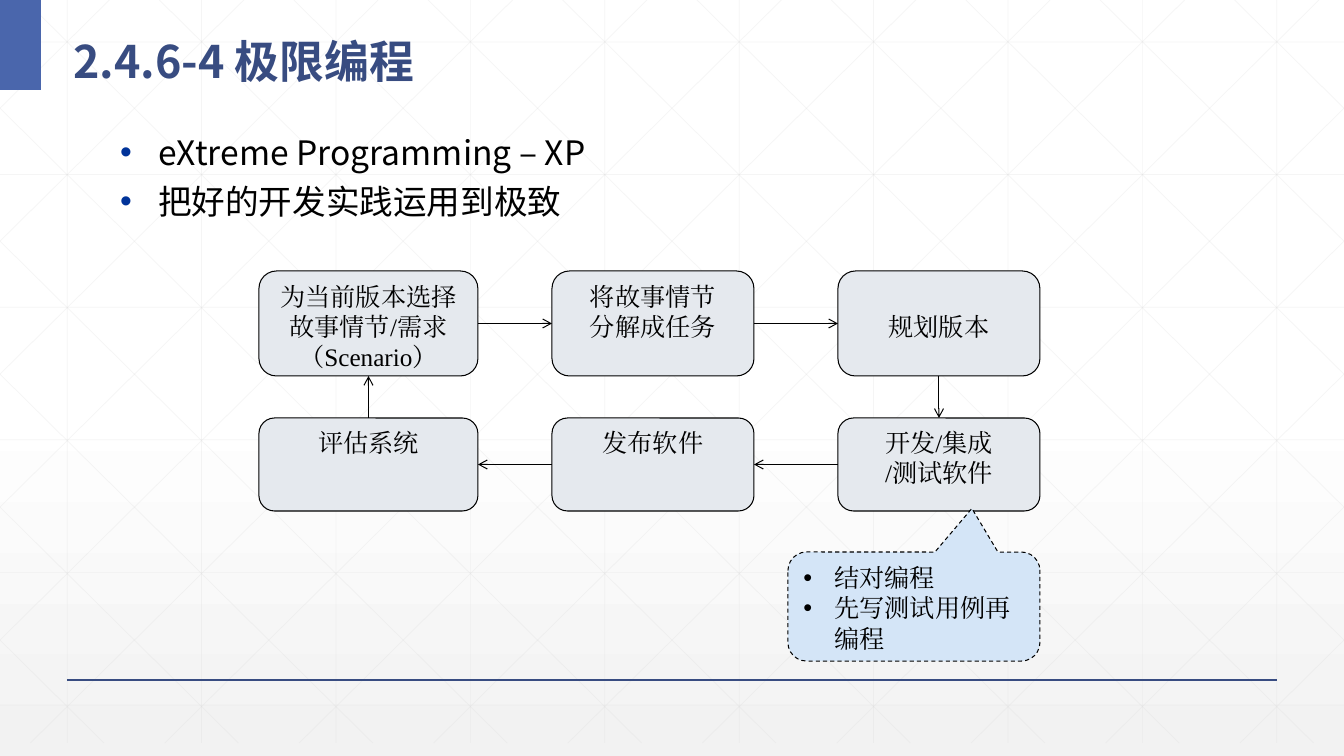
import pptx
import pptx.util
from lxml import etree
from pptx.dml.color import RGBColor
from pptx.enum.dml import MSO_LINE
from pptx.enum.shapes import MSO_CONNECTOR, MSO_SHAPE
from pptx.enum.text import MSO_ANCHOR, MSO_AUTO_SIZE, PP_ALIGN
from pptx.oxml.ns import qn

TITLE = "2.4.6-4 极限编程"
POINTS = ["eXtreme Programming – XP", "把好的开发实践运用到极致"]
# Steps of the cycle in order: column, row, top inset, lines
STEPS = [
    (0, 0, 5, ["为当前版本选择故事情节/需求", "（Scenario）"]),
    (1, 0, 5, ["将故事情节", "分解成任务"]),
    (2, 0, 35, ["规划版本"]),
    (2, 1, 5, ["开发/集成", "/测试软件"]),
    (1, 1, 5, ["发布软件"]),
    (0, 1, 5, ["评估系统"]),
]
PRACTICES = ["结对编程", "先写测试用例再编程"]

SANS, SERIF = "Noto Sans CJK SC", "Times New Roman"
BLACK, NAVY, BLUE, BULLET_BLUE = "000000", "384C81", "4A66AC", "003399"
STEP_FILL, CALLOUT_FILL, GRID_GREY = "E5E9EE", "D4E5F7", "D9D9D9"

SLIDE_W, SLIDE_H = 1344, 756
COLUMNS = [(259, 219), (552, 202), (838, 202)]  # left, width
ROWS = [(271, 105), (418, 93)]  # top, height
# Connection sites of a rounded rectangle, by direction of travel
SITES = {(1, 0): (3, 1), (0, 1): (2, 0), (-1, 0): (1, 3), (0, -1): (0, 2)}

GRID_BOTTOM, GRID_RUN = 743, 751  # a diagonal runs 751 across while falling 743
GRID_DX, GRID_DY = 134.4, 132.6


def px(length):
    return pptx.util.Emu(round(length * 914400 / 100.8))


def color(hex_code):
    return RGBColor.from_string(hex_code)


def place(shape, left, top, width, height):
    shape.left, shape.top, shape.width, shape.height = map(px, (left, top, width, height))


def write(frame, lines, size=18, font=SERIF, ink=BLACK, bold=False, align=PP_ALIGN.LEFT,
          anchor=MSO_ANCHOR.TOP, insets=(10, 5, 10, 5), spacing=1.0, before=0,
          bullet=None, indent=0):
    """Fill a text frame, one paragraph a line; bullet is the colour of the mark."""
    frame.word_wrap = True
    frame.auto_size = MSO_AUTO_SIZE.NONE
    frame.vertical_anchor = anchor
    (frame.margin_left, frame.margin_top,
     frame.margin_right, frame.margin_bottom) = map(px, insets)
    for index, line in enumerate(lines):
        paragraph = frame.add_paragraph() if index else frame.paragraphs[0]
        if bullet:
            properties = paragraph._p.get_or_add_pPr()
            properties.set("marL", str(px(indent)))
            properties.set("indent", str(-px(indent)))
            mark_color = etree.SubElement(properties, qn("a:buClr"))
            etree.SubElement(mark_color, qn("a:srgbClr"), val=bullet)
            etree.SubElement(properties, qn("a:buFont"), typeface="Arial")
            etree.SubElement(properties, qn("a:buChar"), char="•")
        paragraph.alignment = align
        paragraph.line_spacing = spacing
        paragraph.space_before = pptx.util.Pt(before if index else 0)
        run = paragraph.add_run()
        run.text = line
        run.font.size = pptx.util.Pt(size)
        run.font.bold = bold
        run.font.color.rgb = color(ink)
        run.font.name = font
        latin = run.font._element.find(qn("a:latin"))
        latin.addnext(etree.Element(qn("a:ea"), typeface=font))


def add_line(shapes, start, end, ink, width, alpha=None, arrow=False):
    line = shapes.add_connector(MSO_CONNECTOR.STRAIGHT, *map(px, (*start, *end)))
    line.line.color.rgb = color(ink)
    line.line.width = pptx.util.Pt(width)
    properties = line._element.spPr
    outline = properties.find(qn("a:ln"))
    if alpha:
        shade = outline.find(".//" + qn("a:srgbClr"))
        etree.SubElement(shade, qn("a:alpha"), val=str(alpha * 1000))
    if arrow:
        etree.SubElement(outline, qn("a:tailEnd"), type="arrow")
    etree.SubElement(properties, qn("a:effectLst"))
    return line


def add_panel(shapes, kind, box, fill, outline=None):
    panel = shapes.add_shape(kind, *map(px, box))
    panel.shadow.inherit = False
    panel.fill.solid()
    panel.fill.fore_color.rgb = color(fill)
    if outline:
        panel.line.color.rgb = color(outline)
        panel.line.width = pptx.util.Pt(0.75)
    else:
        panel.line.fill.background()
    return panel


def draw_backdrop(slide):
    fill = slide.background.fill
    fill.gradient()
    fill.gradient_angle = 270
    for stop, (position, shade) in zip(fill.gradient_stops, [(0.53, "FFFFFF"), (1, "F2F2F2")]):
        stop.position = position
        stop.color.rgb = color(shade)

    grid = [((67.2 + GRID_DX * i, 0), (67.2 + GRID_DX * i, GRID_BOTTOM)) for i in range(10)]
    grid += [((0, 42 + GRID_DY * i), (SLIDE_W, 42 + GRID_DY * i)) for i in range(6)]
    slope = GRID_BOTTOM / GRID_RUN
    for i in range(-5, 10):
        origin = 25 + GRID_DX * i
        left, right = max(origin, 0), min(origin + GRID_RUN, SLIDE_W)
        top, bottom = (left - origin) * slope, (right - origin) * slope
        grid.append(((left, top), (right, bottom)))
        grid.append(((SLIDE_W - left, top), (SLIDE_W - right, bottom)))
    for start, end in grid:
        add_line(slide.shapes, start, end, GRID_GREY, 0.5, alpha=25)

    add_line(slide.shapes, (67, 680), (1277, 680), NAVY, 1)
    add_panel(slide.shapes, MSO_SHAPE.RECTANGLE, (0, 0, 41, 90), BLUE)


def draw_headings(slide):
    title, points = slide.placeholders
    for heading in (title, points):
        slide.shapes._spTree.append(heading._element)  # in front of the grid
    place(title, 63, 16, 1161, 74)
    write(title.text_frame, [TITLE], size=32, font=SANS, ink=NAVY, bold=True,
          anchor=MSO_ANCHOR.MIDDLE, spacing=1.3)
    place(points, 120, 129, 907, 515)
    write(points.text_frame, POINTS, size=24, font=SANS, insets=(0, 0, 0, 0),
          spacing=1.06, before=5, bullet=BULLET_BLUE, indent=38)


def draw_cycle(shapes):
    boxes = []
    for column, row, inset, lines in STEPS:
        (left, width), (top, height) = COLUMNS[column], ROWS[row]
        step = add_panel(shapes, MSO_SHAPE.ROUNDED_RECTANGLE, (left, top, width, height),
                         STEP_FILL, BLACK)
        write(step.text_frame, lines, align=PP_ALIGN.CENTER, insets=(10, inset, 10, 5))
        boxes.append(step)
    for i, (column, row, *_) in enumerate(STEPS):
        following = (i + 1) % len(STEPS)
        next_column, next_row = STEPS[following][:2]
        leave, enter = SITES[next_column - column, next_row - row]
        arrow = add_line(shapes, (0, 0), (0, 0), BLACK, 0.75, arrow=True)
        arrow.begin_connect(boxes[i], leave)
        arrow.end_connect(boxes[following], enter)


def draw_callout(shapes):
    callout = add_panel(shapes, MSO_SHAPE.ROUNDED_RECTANGULAR_CALLOUT, (788, 552, 252, 109),
                        CALLOUT_FILL, BLACK)
    callout.line.dash_style = MSO_LINE.DASH
    for i, value in enumerate((0.23, -0.9, 0.17)):
        callout.adjustments[i] = value
    write(callout.text_frame, PRACTICES, bullet=BLACK, indent=31)


def main():
    deck = pptx.Presentation()
    deck.slide_width, deck.slide_height = px(SLIDE_W), px(SLIDE_H)
    slide = deck.slides.add_slide(deck.slide_layouts[1])
    draw_backdrop(slide)
    draw_headings(slide)
    draw_cycle(slide.shapes)
    draw_callout(slide.shapes)
    deck.save("out.pptx")


if __name__ == "__main__":
    main()
